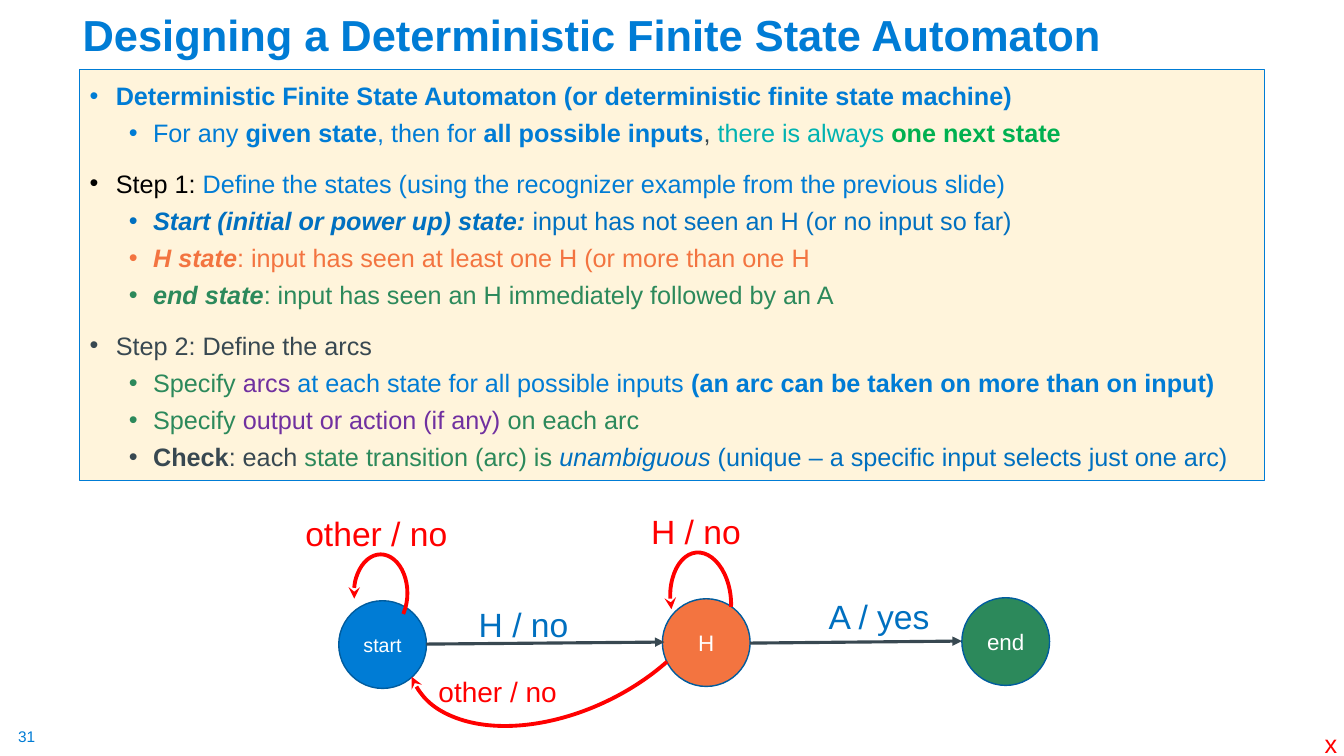
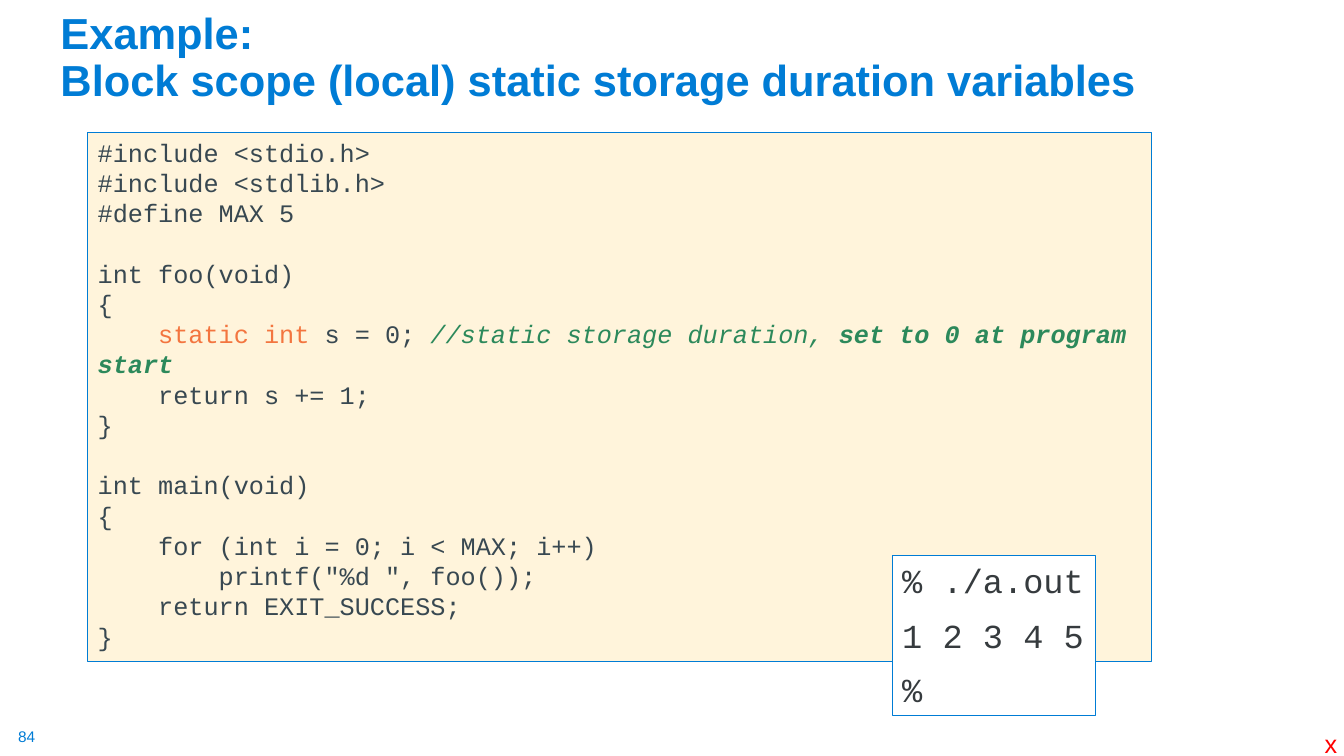
from lxml import etree
from pptx import Presentation
from pptx.dml.color import RGBColor
from pptx.enum.shapes import MSO_CONNECTOR, MSO_SHAPE
from pptx.enum.text import MSO_ANCHOR, MSO_AUTO_SIZE, PP_ALIGN
from pptx.oxml.ns import qn
from pptx.util import Emu, Pt

RECT, OVAL, ARC = MSO_SHAPE.RECTANGLE, MSO_SHAPE.OVAL, MSO_SHAPE.ARC
STRAIGHT = MSO_CONNECTOR.STRAIGHT
TOP, MIDDLE, BOTTOM = MSO_ANCHOR.TOP, MSO_ANCHOR.MIDDLE, MSO_ANCHOR.BOTTOM
LEFT, CENTER = PP_ALIGN.LEFT, PP_ALIGN.CENTER
NO_FIT, GROW = MSO_AUTO_SIZE.NONE, MSO_AUTO_SIZE.SHAPE_TO_FIT_TEXT

BLUE = RGBColor(0x00, 0x7C, 0xD5)
MID_BLUE = RGBColor(0x00, 0x70, 0xC0)
DARK_BLUE = RGBColor(0x00, 0x5C, 0x9E)
CREAM = RGBColor(0xFF, 0xF4, 0xDB)
SLATE = RGBColor(0x38, 0x48, 0x51)
CHARCOAL = RGBColor(0x36, 0x3B, 0x3E)
TEAL = RGBColor(0x00, 0xB2, 0xB1)
BRIGHT_GREEN = RGBColor(0x00, 0xB0, 0x50)
GREEN = RGBColor(0x2C, 0x89, 0x5B)
ORANGE = RGBColor(0xF3, 0x74, 0x40)
KEYWORD = RGBColor(0xF3, 0x75, 0x3F)
PURPLE = RGBColor(0x70, 0x30, 0xA0)
RED = RGBColor(0xFF, 0x00, 0x00)
BLACK = RGBColor(0x00, 0x00, 0x00)
WHITE = RGBColor(0xFF, 0xFF, 0xFF)

SANS, MONO = "Arial", "Courier New"
PX = 9144
INDENTS = ((26, -26), (63, -24))

STEPS = [
    (0, [("Deterministic Finite State Automaton (or deterministic finite state machine)", BLUE, "b")]),
    (1, [("For any ", BLUE), ("given state", BLUE, "b"), (", then for ", BLUE),
         ("all possible inputs", BLUE, "b"), (", ", SLATE),
         ("there is always ", TEAL), ("one next state", BRIGHT_GREEN, "b")]),
    (0, [("Step 1: ", BLACK),
         ("Define the states (using the recognizer example from the previous slide)", BLUE)]),
    (1, [("Start (initial or power up) state: ", MID_BLUE, "bi"),
         ("input has not seen an H (or no input so far)", MID_BLUE)]),
    (1, [("H state", ORANGE, "bi"),
         (": input has seen at least one H (or more than one H", ORANGE)]),
    (1, [("end state", GREEN, "bi"),
         (": input has seen an H immediately followed by an A", GREEN)]),
    (0, [("Step 2: Define the arcs", SLATE)]),
    (1, [("Specify ", GREEN), ("arcs ", PURPLE),
         ("at each state for all possible inputs ", BLUE),
         ("(an arc can be taken on more than on input)", BLUE, "b")]),
    (1, [("Specify ", GREEN), ("output or action (if any)", PURPLE), (" on each arc", GREEN)]),
    (1, [("Check", SLATE, "b"), (": each ", SLATE), ("state transition (arc) is ", GREEN),
         ("unambiguous", MID_BLUE, "i"),
         (" (unique – a specific input selects just one arc)", MID_BLUE)]),
]

CODE_HEAD = """#include <stdio.h>
#include <stdlib.h>
#define MAX 5

int foo(void)
{"""
STATIC_LINE = [("    static int", KEYWORD), (" s = 0;", SLATE),
               (" //static storage duration, ", GREEN, "i"),
               ("set to 0 at program start", GREEN, "bi")]
CODE_TAIL = """    return s += 1;
}

int main(void)
{
    for (int i = 0; i < MAX; i++)
        printf("%d ", foo());
    return EXIT_SUCCESS;
}"""
OUTPUT = """% ./a.out
1 2 3 4 5
%"""


def px(*values):
    return [Emu(v * PX) for v in values]


def plain_lines(text, color):
    return [[(line, color)] if line else [] for line in text.split("\n")]


def style_run(r, size, font, color, style=""):
    r.font.size = Pt(size)
    r.font.name = font
    r.font.color.rgb = color
    r.font.bold = "b" in style
    r.font.italic = "i" in style


def write_lines(tf, lines, size, font, align=LEFT):
    for i, runs in enumerate(lines):
        p = tf.paragraphs[0] if i == 0 else tf.add_paragraph()
        p.alignment = align
        for text, *look in runs:
            r = p.add_run()
            r.text = text
            style_run(r, size, font, *look)


def add_bullet(p, level):
    pPr = p._p.get_or_add_pPr()
    left, hang = px(*INDENTS[level])
    pPr.set("marL", str(left))
    pPr.set("indent", str(hang))
    etree.SubElement(pPr, qn("a:buFont")).set("typeface", SANS)
    etree.SubElement(pPr, qn("a:buChar")).set("char", "•")


def add_panel(slide, kind, box, fill, line, width, anchor=TOP):
    sp = slide.shapes.add_shape(kind, *px(*box))
    sp.shadow.inherit = False
    sp.fill.solid()
    sp.fill.fore_color.rgb = fill
    sp.line.color.rgb = line
    sp.line.width = Pt(width)
    sp.text_frame.word_wrap = True
    sp.text_frame.vertical_anchor = anchor
    return sp


def add_label(slide, box, text, size, color, margin=None):
    sp = slide.shapes.add_textbox(*px(*box))
    tf = sp.text_frame
    tf.word_wrap = False
    tf.auto_size = GROW
    if margin is not None:
        tf.margin_left = tf.margin_right = tf.margin_top = tf.margin_bottom = margin
    write_lines(tf, [[(text, color)]], size, SANS)


def add_head(line, kind):
    etree.SubElement(line._get_or_add_ln(), qn("a:tailEnd")).set("type", kind)


def add_arrow(slide, x1, y1, x2, y2):
    cxn = slide.shapes.add_connector(STRAIGHT, *px(x1, y1, x2, y2))
    cxn.line.color.rgb = SLATE
    cxn.line.width = Pt(2.25)
    add_head(cxn.line, "triangle")
    etree.SubElement(cxn._element.spPr, qn("a:effectLst"))


def add_loop(slide, box, angles, rotation, flip=None):
    sp = slide.shapes.add_shape(ARC, *px(*box))
    sp.shadow.inherit = False
    sp.adjustments[0], sp.adjustments[1] = angles
    sp.rotation = rotation
    if flip:
        sp._element.spPr.xfrm.set(flip, "1")
    sp.fill.background()
    sp.line.color.rgb = RED
    sp.line.width = Pt(2.75)
    add_head(sp.line, "stealth")


def new_slide(prs, title, title_box, number):
    slide = prs.slides.add_slide(prs.slide_layouts[5])
    sp = slide.shapes.title
    sp.left, sp.top, sp.width, sp.height = px(*title_box)
    tf = sp.text_frame
    tf.text = title
    tf.word_wrap = True
    tf.auto_size = NO_FIT
    tf.vertical_anchor = BOTTOM
    p = tf.paragraphs[0]
    p.alignment = LEFT
    p.line_spacing = 0.9
    for r in p.runs:
        style_run(r, 31, SANS, BLUE, "b")
    add_label(slide, (18, 721, 19, 19), number, 11, BLUE, margin=0)
    add_label(slide, (1304, 718, 33, 40), "x", 18, RED)
    return slide


def add_steps(slide, box):
    tf = add_panel(slide, RECT, box, CREAM, BLUE, 0.75).text_frame
    write_lines(tf, [runs for _, runs in STEPS], 18, SANS)
    for i, (p, (level, _)) in enumerate(zip(tf.paragraphs, STEPS)):
        p.level = level
        p.line_spacing = 1.0 if level else 1.2
        if i:
            p.space_before = Pt(5 if level else 10)
        add_bullet(p, level)


def add_automaton(slide, x, y):
    for dx, dy, name, size, color in ((43, 94, "start", 14, BLUE),
                                      (364, 92, "H", 16, ORANGE),
                                      (661, 91, "end", 16, GREEN)):
        sp = add_panel(slide, OVAL, (x + dx, y + dy, 87, 87), color, DARK_BLUE, 1, MIDDLE)
        write_lines(sp.text_frame, [[(name, WHITE)]], size, SANS, CENTER)
    for dx, dy, w, h, angles, rotation, flip in (
            (372, 46, 60, 95, (97.26, 7.02), 354.6, "flipH"),
            (101, 2, 331, 201, (139.73, 1.19), 154.1, None),
            (58, 48, 53, 77, (82.37, 7.02), 180, "flipV")):
        add_loop(slide, (x + dx, y + dy, w, h), angles, rotation, flip)
    for dx1, dy1, dx2, dy2 in ((130, 137, 366, 135), (451, 136, 661, 134)):
        add_arrow(slide, x + dx1, y + dy1, x + dx2, y + dy2)
    for dx, dy, w, h, text, size, color in (
            (0, 2, 162, 50, "other / no", 24, RED),
            (343, 0, 110, 50, "H / no", 24, RED),
            (132, 162, 138, 44, "other / no", 20, RED),
            (172, 92, 110, 50, "H / no", 24, MID_BLUE),
            (519, 84, 121, 50, "A / yes", 24, MID_BLUE)):
        add_label(slide, (x + dx, y + dy, w, h), text, size, color)


def add_listing(slide, box):
    sp = add_panel(slide, RECT, box, CREAM, BLUE, 0.75)
    lines = plain_lines(CODE_HEAD, SLATE) + [STATIC_LINE] + plain_lines(CODE_TAIL, SLATE)
    write_lines(sp.text_frame, lines, 18, MONO)


def add_terminal(slide, box):
    tf = add_panel(slide, RECT, box, WHITE, BLUE, 0.75).text_frame
    write_lines(tf, plain_lines(OUTPUT, CHARCOAL), 24, MONO)
    for p in tf.paragraphs[1:]:
        p.space_before = Pt(10)


def main():
    prs = Presentation()
    prs.slide_width, prs.slide_height = px(1333, 750)

    slide = new_slide(prs, "Designing a Deterministic Finite State Automaton",
                      (72, 1, 1150, 64), "31")
    add_steps(slide, (79, 69, 1175, 408))
    add_automaton(slide, 293, 502)

    slide = new_slide(prs, "Example:\vBlock scope (local) static storage duration variables",
                      (50, 60, 1119, 50), "84")
    add_listing(slide, (87, 131, 1055, 525))
    add_terminal(slide, (885, 551, 202, 159))

    prs.save("out.pptx")


if __name__ == "__main__":
    main()
